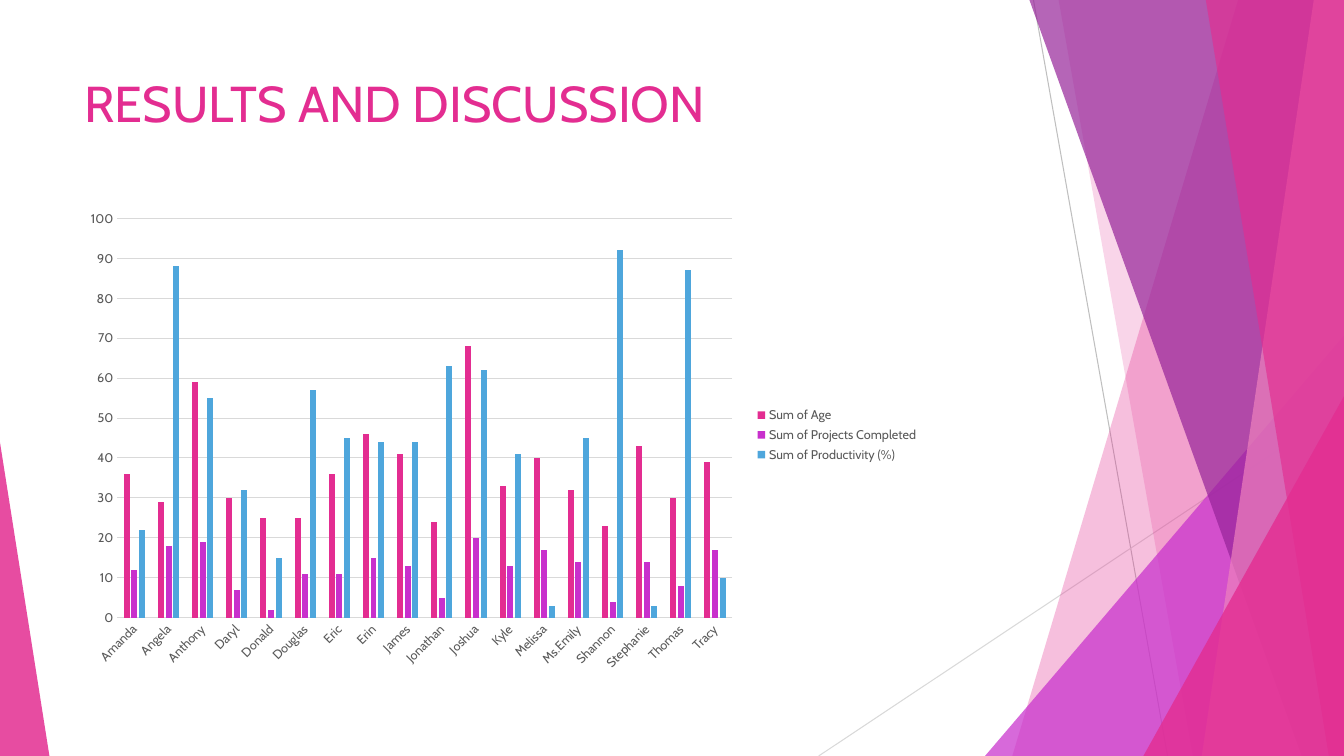
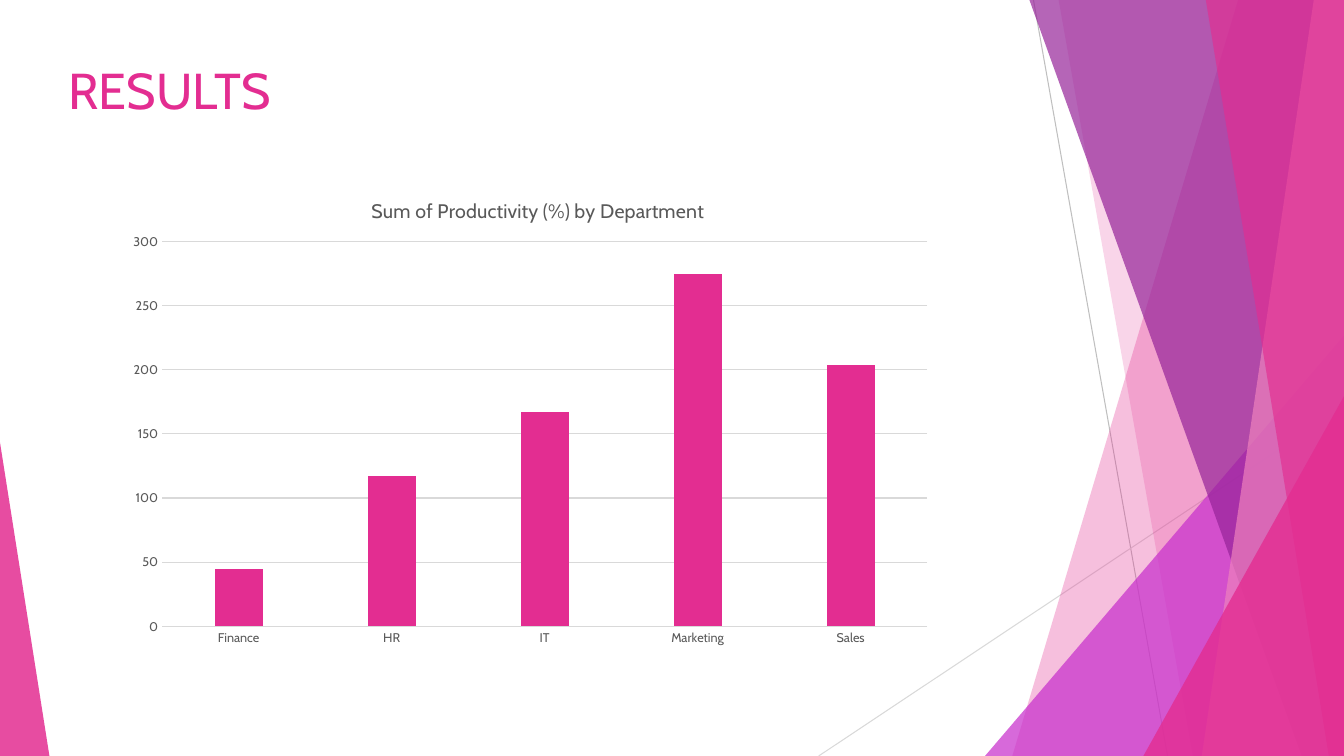
"""Build two results slides with clustered column charts over a shared faceted layout."""
import pptx
import pptx.chart.data
import pptx.dml.color
import pptx.enum.chart
import pptx.enum.shapes
import pptx.oxml.ns
import pptx.oxml.xmlchemy
import pptx.util

WIDTH, HEIGHT = 13.33, 7.5
FONT = "Cabin"
COLOURS = {
    "pink": "E32D91", "magenta": "C830CC", "purple": "962499", "rose": "EE81BD",
    "blue": "4EA6DC", "text": "595959", "grid": "D9D9D9", "line": "BFBFBF",
}

LINES = [
    ((10.25, 0), (11.58, HEIGHT), "line"),
    ((WIDTH, 4.03), (8.12, HEIGHT), "grid"),
]
BAND_EDGES = "top_left", "bottom_left"
TRIANGLE_PARTS = "left", "top", "width", "apex"
FACETS = [
    (BAND_EDGES, (12.28, 10.04), "pink", 30),
    (BAND_EDGES, (10.5, 11.83), "pink", 20),
    (TRIANGLE_PARTS, (9.77, 3.33, 3.56, 1), "magenta", 72),
    (BAND_EDGES, (10.21, 12.91), "purple", 70),
    (BAND_EDGES, (13.03, 11.92), "rose", 70),
    (BAND_EDGES, (11.96, 13.18), "pink", 65),
    (TRIANGLE_PARTS, (11.34, 3.93, 1.99, 1), "pink", 80),
    (TRIANGLE_PARTS, (0, 4.39, 0.49, 0), "pink", 85),
]

SLIDES = [
    {
        "title": "RESULTS AND DISCUSSION",
        "title_at": (0.74, 0.67),
        "chart_box": (0.74, 1.93, 8.47, 4.77),
        "plot": {"x": 0.05, "y": 0.05, "w": 0.72, "h": 0.83},
        "scale": (100, 10),
        "label_turn": -45,
        "categories": [
            "Amanda", "Angela", "Anthony", "Daryl", "Donald", "Douglas", "Eric", "Erin", "James",
            "Jonathan", "Joshua", "Kyle", "Melissa", "Ms.Emily", "Shannon", "Stephanie", "Thomas",
            "Tracy",
        ],
        "series": [
            ("Sum of Age", "pink",
             [36, 29, 59, 30, 25, 25, 36, 46, 41, 24, 68, 33, 40, 32, 23, 43, 30, 39]),
            ("Sum of Projects Completed", "magenta",
             [12, 18, 19, 7, 2, 11, 11, 15, 13, 5, 20, 13, 17, 14, 4, 14, 8, 17]),
            ("Sum of Productivity (%)", "blue",
             [22, 88, 55, 32, 15, 57, 45, 44, 44, 63, 62, 41, 3, 45, 92, 3, 87, 10]),
        ],
    },
    {
        "title": "RESULTS",
        "title_at": (0.58, 0.54),
        "chart_box": (1.2, 1.73, 8.16, 4.77),
        "chart_title": "Sum of Productivity (%) by Department",
        "chart_title_at": {"x": 0.3, "y": 0.04},
        "plot": {"x": 0.05, "y": 0.14, "w": 0.93, "h": 0.8},
        "scale": (300, 50),
        "categories": ["Finance", "HR", "IT", "Marketing", "Sales"],
        "series": [("Series 1", "pink", [45, 117, 167, 275, 204])],
    },
]


def inches(*lengths):
    return [pptx.util.Inches(length) for length in lengths]


def colour(name):
    return pptx.dml.color.RGBColor.from_string(COLOURS[name])


def new_element(tag, **attributes):
    element = pptx.oxml.xmlchemy.OxmlElement(tag)
    for name, value in attributes.items():
        element.set(name, str(value))
    return element


def paint(fill, name):
    fill.solid()
    fill.fore_color.rgb = colour(name)


def style_font(font, size, name):
    font.name = FONT
    font.size = pptx.util.Pt(size)
    font.bold = False
    font.color.rgb = colour(name)


def style_line(line, name):
    line.color.rgb = colour(name)
    line.width = pptx.util.Pt(0.75)


def add_line(slide, start, end, name):
    connector = slide.shapes.add_connector(
        pptx.enum.shapes.MSO_CONNECTOR.STRAIGHT, *inches(*start, *end))
    style_line(connector.line, name)
    properties = connector.element.find(pptx.oxml.ns.qn("p:spPr"))
    properties.append(new_element("a:effectLst"))


def add_facet(slide, parts, geometry, name, opacity):
    if parts == BAND_EDGES:
        top_left, bottom_left = geometry
        builder = slide.shapes.build_freeform(*inches(top_left, 0), scale=1.0)
        corners = [(WIDTH, 0), (WIDTH, HEIGHT), (bottom_left, HEIGHT)]
        builder.add_line_segments([inches(*corner) for corner in corners], close=True)
        shape = builder.convert_to_shape()
    else:
        left, top, width, apex = geometry
        shape = slide.shapes.add_shape(
            pptx.enum.shapes.MSO_SHAPE.ISOSCELES_TRIANGLE,
            *inches(left, top, width, HEIGHT - top))
        shape.adjustments[0] = apex
    paint(shape.fill, name)
    shape.line.fill.background()
    shape.shadow.inherit = False
    solid_colour = shape.element.xpath("p:spPr/a:solidFill/a:srgbClr")[0]
    solid_colour.append(new_element("a:alpha", val=opacity * 1000))


def decorate_layout(layout, slide):
    for placeholder in list(layout.placeholders):
        layout.shapes.element.remove(placeholder.element)
    for line in LINES:
        add_line(slide, *line)
    for facet in FACETS:
        add_facet(slide, *facet)
    for shape in list(slide.shapes):
        layout.shapes.element.append(shape.element)


def add_title(slide, text, position):
    box = slide.shapes.add_textbox(*inches(*position, 9.4, 1.44))
    box.text_frame.word_wrap = True
    run = box.text_frame.paragraphs[0].add_run()
    run.text = text
    style_font(run.font, 36, "pink")


def place_chart_part(part, index, shares, inner=False):
    for previous in part.findall(pptx.oxml.ns.qn("c:layout")):
        part.remove(previous)
    layout = new_element("c:layout")
    manual = new_element("c:manualLayout")
    layout.append(manual)
    settings = [("layoutTarget", "inner")] if inner else []
    settings += [("xMode", "edge"), ("yMode", "edge"), *shares.items()]
    for tag, value in settings:
        manual.append(new_element(f"c:{tag}", val=value))
    part.insert(index, layout)


def style_axes(chart, maximum, step):
    for axis in (chart.category_axis, chart.value_axis):
        axis.major_tick_mark = pptx.enum.chart.XL_TICK_MARK.NONE
        axis.minor_tick_mark = pptx.enum.chart.XL_TICK_MARK.NONE
        style_font(axis.tick_labels.font, 9, "text")
    style_line(chart.category_axis.format.line, "grid")
    value_axis = chart.value_axis
    value_axis.format.line.fill.background()
    value_axis.has_major_gridlines = True
    style_line(value_axis.major_gridlines.format.line, "grid")
    value_axis.minimum_scale = 0
    value_axis.maximum_scale = maximum
    value_axis.major_unit = step


def add_column_chart(slide, content):
    data = pptx.chart.data.CategoryChartData()
    data.categories = content["categories"]
    for name, _, values in content["series"]:
        data.add_series(name, values)
    chart = slide.shapes.add_chart(
        pptx.enum.chart.XL_CHART_TYPE.COLUMN_CLUSTERED,
        *inches(*content["chart_box"]), data).chart
    style_font(chart.font, 10, "text")
    plot = chart.plots[0]
    plot.gap_width = 219
    plot.overlap = -27
    plot.vary_by_categories = False
    for series, (_, name, _) in zip(plot.series, content["series"]):
        paint(series.format.fill, name)
        series.invert_if_negative = False
    style_axes(chart, *content["scale"])
    if "label_turn" in content:
        body = chart.element.xpath("//c:catAx/c:txPr/a:bodyPr")[0]
        body.set("rot", str(content["label_turn"] * 60000))
    place_chart_part(chart.element.xpath("//c:plotArea")[0], 0, content["plot"], inner=True)

    chart.has_legend = len(content["series"]) > 1
    if chart.has_legend:
        chart.legend.position = pptx.enum.chart.XL_LEGEND_POSITION.RIGHT
        chart.legend.include_in_layout = False
        style_font(chart.legend.font, 9, "text")

    chart.has_title = "chart_title" in content
    if chart.has_title:
        run = chart.chart_title.text_frame.paragraphs[0].add_run()
        run.text = content["chart_title"]
        style_font(run.font, 14, "text")
        place_chart_part(chart.chart_title.element, 1, content["chart_title_at"])


def main():
    presentation = pptx.Presentation()
    presentation.slide_width, presentation.slide_height = inches(WIDTH, HEIGHT)
    blank = presentation.slide_layouts[6]
    slides = [presentation.slides.add_slide(blank) for _ in SLIDES]
    decorate_layout(blank, slides[0])
    for slide, content in zip(slides, SLIDES):
        add_title(slide, content["title"], content["title_at"])
        add_column_chart(slide, content)
    presentation.save("out.pptx")


if __name__ == "__main__":
    main()
